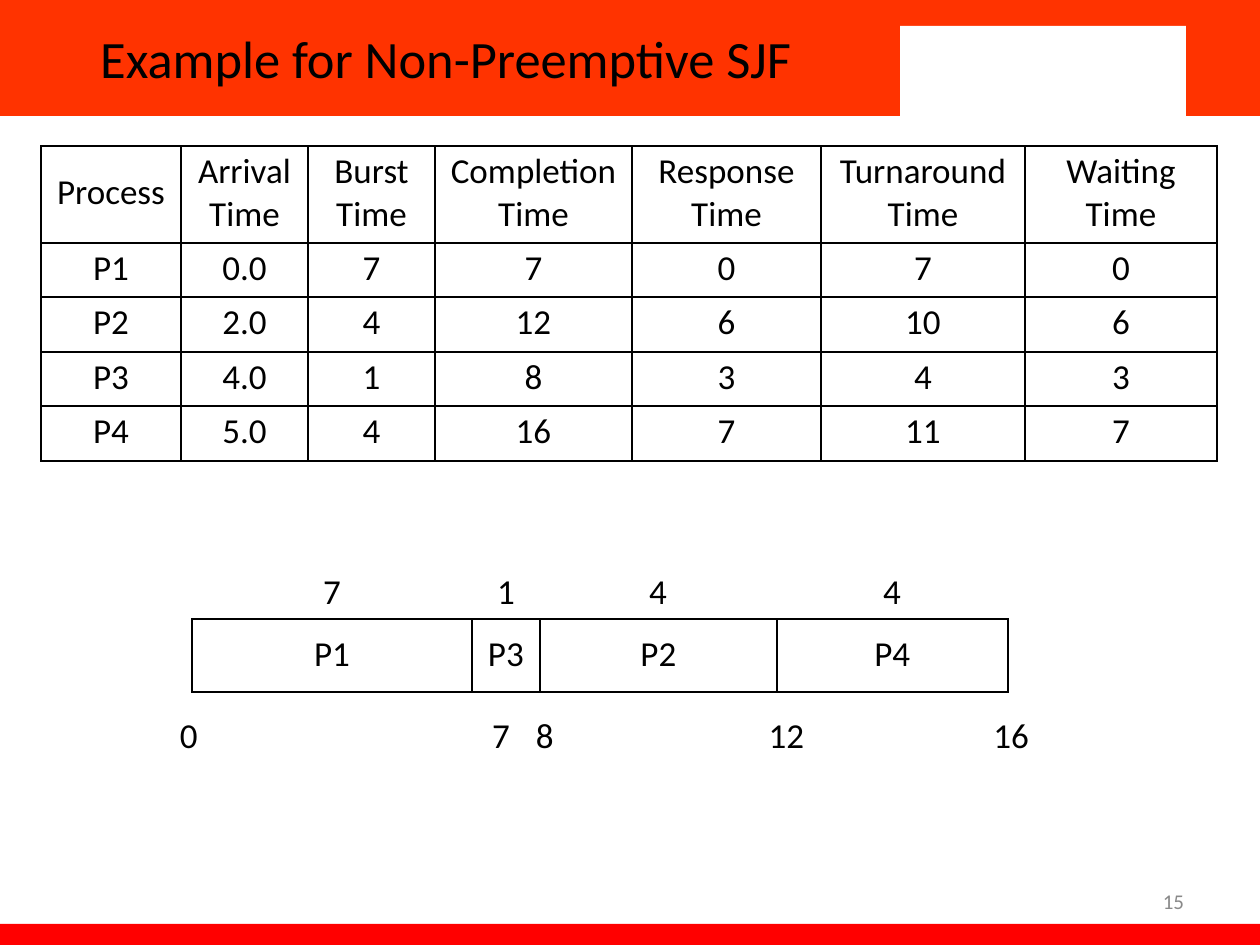
"""Build the non-preemptive SJF scheduling example slide."""
import itertools

import lxml.etree
import pptx
import pptx.dml.color
import pptx.enum.shapes
import pptx.enum.text
import pptx.oxml.ns
import pptx.util

EMU_PER_PX = 914400 / 126
ALIGN = pptx.enum.text.PP_ALIGN
MIDDLE = pptx.enum.text.MSO_ANCHOR.MIDDLE


def px(length):
    return pptx.util.Emu(round(length * EMU_PER_PX))


def color(hex_text):
    return pptx.dml.color.RGBColor.from_string(hex_text)


def assign(target, values):
    for name, value in values.items():
        setattr(target, name, value)


def margins(left=0, top=0, right=0, bottom=0):
    return {"margin_left": px(left), "margin_top": px(top),
            "margin_right": px(right), "margin_bottom": px(bottom)}


class SlideBuilder:
    font_name = "Calibri"
    body_size = 20
    ink = "000000"

    def __init__(self, slide):
        self.slide = slide

    def add_text(self, frame, text, align=ALIGN.CENTER, size=body_size, ink=ink, spacing=None):
        paragraph = frame.paragraphs[0]
        assign(paragraph, {"alignment": align, "line_spacing": spacing})
        run = paragraph.add_run()
        run.text = text
        assign(run.font, {"name": self.font_name, "size": pptx.util.Pt(size)})
        run.font.color.rgb = color(ink)

    def bar(self, left, top, width, height, fill):
        band = self.slide.shapes.add_shape(
            pptx.enum.shapes.MSO_SHAPE.RECTANGLE, *map(px, (left, top, width, height)))
        band.shadow.inherit = False
        band.fill.solid()
        band.fill.fore_color.rgb = color(fill)
        band.line.fill.background()

    def label(self, left, top, width, height, text, frame_format, **text_format):
        box = self.slide.shapes.add_textbox(*map(px, (left, top, width, height)))
        assign(box.text_frame, {"word_wrap": True, **frame_format})
        self.add_text(box.text_frame, text, **text_format)

    def border(self, cell, visible):
        properties = cell._tc.get_or_add_tcPr()
        for side in ("lnL", "lnR", "lnT", "lnB"):
            line = lxml.etree.SubElement(properties, pptx.oxml.ns.qn(f"a:{side}"), w="12700")
            if visible:
                fill = lxml.etree.SubElement(line, pptx.oxml.ns.qn("a:solidFill"))
                lxml.etree.SubElement(fill, pptx.oxml.ns.qn("a:srgbClr"), val=self.ink)
            else:
                lxml.etree.SubElement(line, pptx.oxml.ns.qn("a:noFill"))

    def table(self, left, top, widths, heights, rows, cell_format, bordered=True):
        grid = self.slide.shapes.add_table(
            len(heights), len(widths), px(left), px(top), px(sum(widths)), px(sum(heights))).table
        assign(grid, {"first_row": False, "horz_banding": False})
        for column, width in zip(grid.columns, widths):
            column.width = px(width)
        for row, height in zip(grid.rows, heights):
            row.height = px(height)
        for row_index, values in enumerate(rows):
            for column_index, value in enumerate(values):
                cell = grid.cell(row_index, column_index)
                cell_style, text_format = cell_format(row_index, column_index)
                assign(cell, cell_style)
                self.border(cell, bordered)
                cell.fill.background()
                self.add_text(cell.text_frame, value, **text_format)


def process_format(row, column):
    if row:
        return margins(top=4), {}
    return margins(10, 25 if column == 0 else 4, 10), {}


def gantt_format(row, column):
    return margins(top=14), {}


def axis_format(row, column):
    left, align = ((4, ALIGN.LEFT), (0, ALIGN.RIGHT), (26, ALIGN.LEFT),
                   (15, ALIGN.CENTER), (0, ALIGN.RIGHT))[column]
    return margins(left), {"align": align, "spacing": 0.95}


def main():
    deck = pptx.Presentation()
    assign(deck, {"slide_width": px(1260), "slide_height": px(945)})
    builder = SlideBuilder(deck.slides.add_slide(deck.slide_layouts[6]))

    for band in ((0, 0, 1260, 116, "FF3300"), (0, 924, 1260, 28, "FF0000"),
                 (847, 0, 413, 116, "FF3300"), (900, 26, 286, 95, "FFFFFF")):
        builder.bar(*band)

    padded = {"vertical_anchor": MIDDLE, **margins(13, 6, 13, 6)}
    builder.label(0, 0, 892, 116, "Example for Non-Preemptive SJF", padded, size=30)

    gantt_left, segment_widths = 192, (280, 68, 237, 231)
    builder.table(gantt_left, 619, segment_widths, (73,), (("P1", "P3", "P2", "P4"),), gantt_format)
    segment_starts = itertools.accumulate(segment_widths, initial=gantt_left)
    for duration, start, width in zip("7144", segment_starts, segment_widths):
        builder.label(start + width // 2 - 11, 568, 22, 45, duration, margins(top=1))

    builder.table(176, 716, (156, 178, 151, 236, 132), (35,),
                  (("0", "7", "8", "12", "16"),), axis_format, bordered=False)

    processes = (
        ("Process", "Arrival Time", "Burst Time", "Completion Time",
         "Response Time", "Turnaround Time", "Waiting Time"),
        ("P1", "0.0", "7", "7", "0", "7", "0"),
        ("P2", "2.0", "4", "12", "6", "10", "6"),
        ("P3", "4.0", "1", "8", "3", "4", "3"),
        ("P4", "5.0", "4", "16", "7", "11", "7"),
    )
    builder.table(41, 146, (140, 127, 127, 197, 189, 204, 192), (97, 54, 55, 54, 55),
                  processes, process_format)

    builder.label(903, 876, 294, 50, "15", padded, align=ALIGN.RIGHT, size=12, ink="898989")
    deck.save("out.pptx")


if __name__ == "__main__":
    main()
